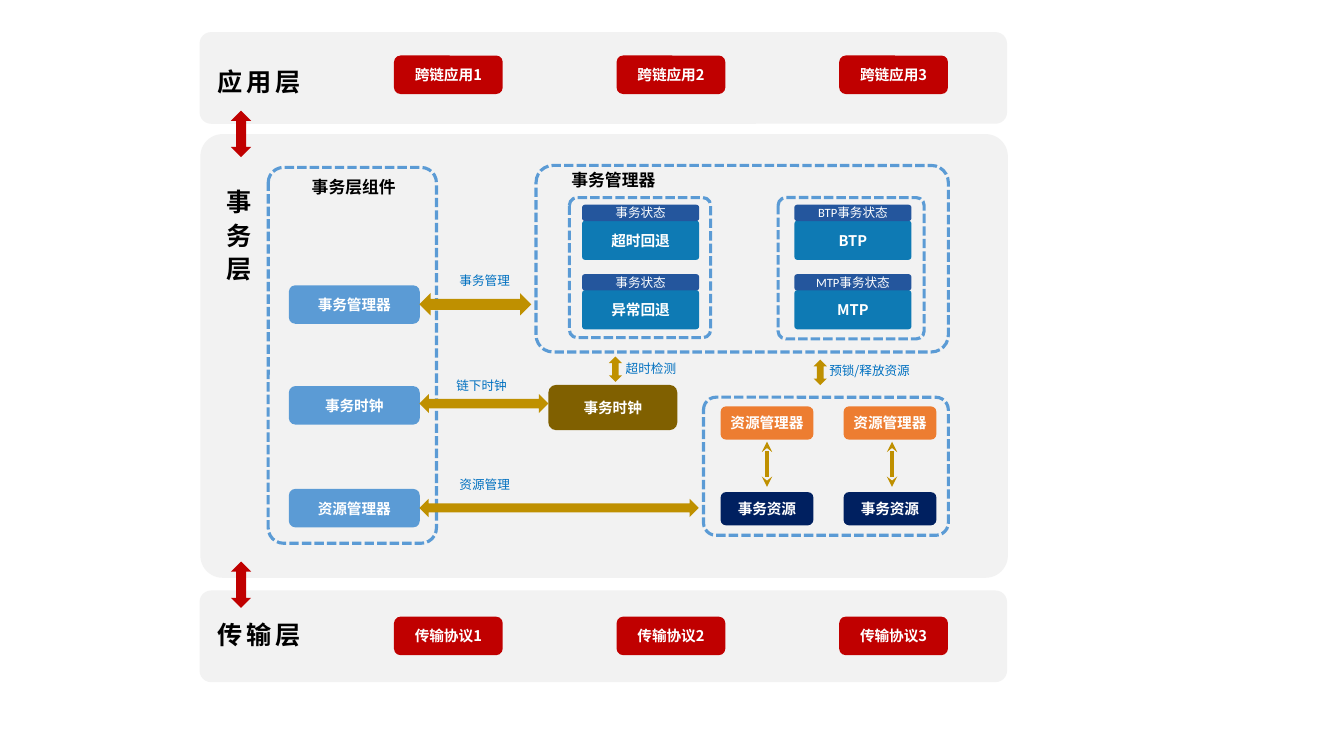
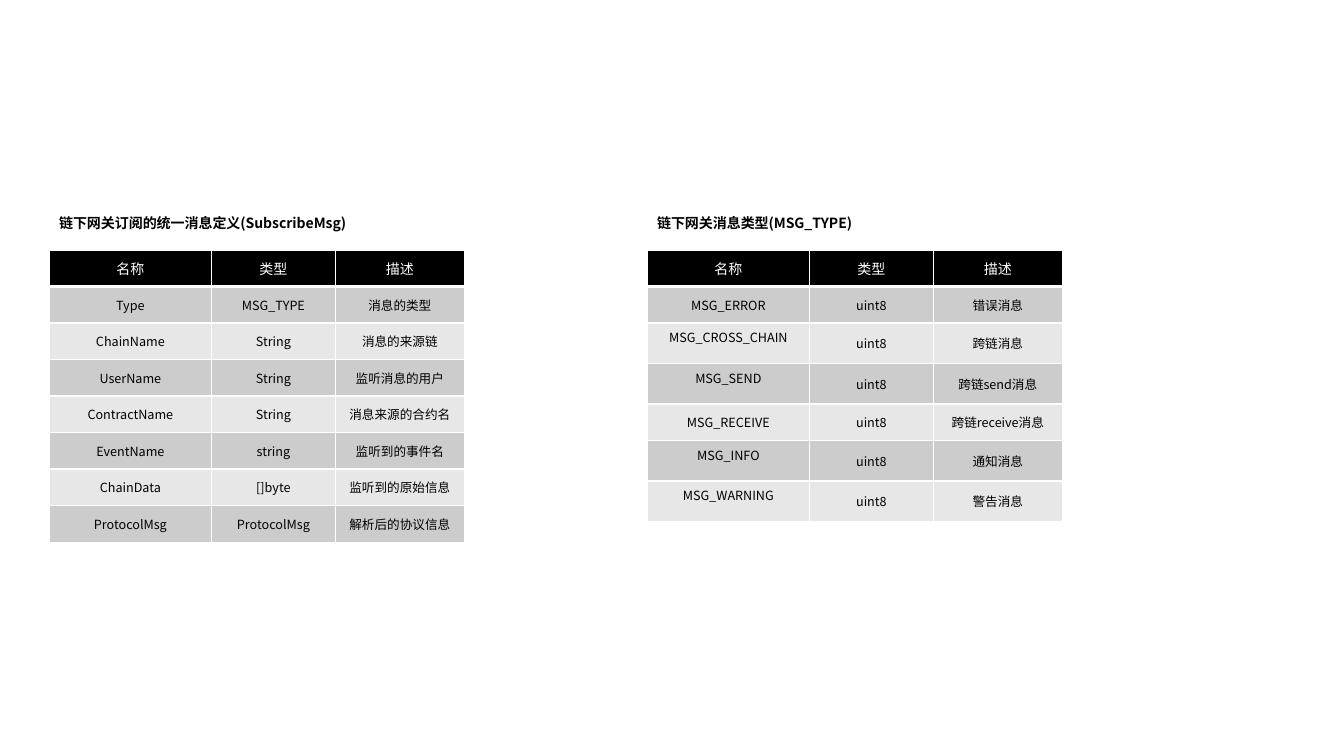
from typing import NamedTuple

from lxml import etree
from pptx import Presentation
from pptx import util as u
from pptx.dml import color
from pptx.enum import dml, shapes, text
from pptx.oxml import ns

CJK, LATIN = "Noto Sans CJK SC", "Calibri"
WHITE, BLACK, PANEL = "FFFFFF", "000000", "F2F2F2"
RED, GOLD, BROWN = "C00000", "BF9000", "806000"
SKY, BLUE, TEAL, INDIGO = "5B9BD5", "0070C0", "0E7AB4", "24569D"
ORANGE, NAVY = "ED7D31", "002060"
STRIPES = ("CCCCCC", "E7E7E7")
CORNER = 0.17
LEFT, CENTER = text.PP_ALIGN.LEFT, text.PP_ALIGN.CENTER


class Box(NamedTuple):
    """Left, top, width and height in centimetres."""
    x: float
    y: float
    w: float
    h: float

    def emu(self) -> list:
        return [u.Cm(v) for v in self]


class Font(NamedTuple):
    size: float
    color: str
    bold: bool = False
    latin: str = CJK
    spacing: int = 0


class Band(NamedTuple):
    top: float
    label_top: float
    label: str
    chip_top: float
    chip: str


class StatusGroup(NamedTuple):
    frame: Box
    x: float
    items: tuple


class Row(NamedTuple):
    name: str
    type: str
    note: str
    raised: bool = False


LAYER = Font(18, BLACK, True, LATIN, 300)
VERTICAL_LAYER = Font(18, BLACK, True, CJK, 600)
HEADING = Font(12, BLACK, True)
BUTTON = Font(10.5, WHITE, True)
TAG = Font(9, WHITE, False, LATIN)
NOTE = Font(9, BLUE)
CAPTION = Font(10, BLACK, True)
HEAD_CELL, BODY_CELL = Font(10, WHITE), Font(9, BLACK)

BANDS = (Band(0.81, 1.55, "应用层", 1.4, "跨链应用"),
         Band(14.88, 15.49, "传输层", 15.54, "传输协议"))
COMPONENTS = (("事务管理器", 7.19), ("事务时钟", 9.73), ("资源管理器", 12.32))
FRAMES = (Box(6.76, 4.22, 4.24, 9.47), Box(13.51, 4.17, 10.39, 4.7),
          Box(17.73, 10.01, 6.17, 3.48))
STATUS_GROUPS = (
    StatusGroup(Box(14.35, 4.98, 3.56, 3.53), 14.67,
                (("事务状态", "超时回退"), ("事务状态", "异常回退"))),
    StatusGroup(Box(19.61, 4.98, 3.68, 3.56), 20.02,
                (("BTP事务状态", "BTP"), ("MTP事务状态", "MTP"))),
)
RESOURCES = ((18.16, 19.33), (21.26, 22.48))
WIDE_ARROWS = (Box(10.57, 7.39, 2.82, 0.56), Box(10.57, 9.93, 3.25, 0.48),
               Box(10.57, 12.57, 7.04, 0.46))
UPRIGHT_ARROWS = ((Box(5.49, 3.12, 1.17, 0.51), RED), (Box(5.49, 14.48, 1.17, 0.51), RED),
                  (Box(20.35, 9.22, 0.64, 0.33), GOLD), (Box(15.19, 9.14, 0.64, 0.33), GOLD))
NOTES = (("事务管理", 11.33, 6.76), ("链下时钟", 11.25, 9.4), ("资源管理", 11.33, 11.89),
         ("超时检测", 15.52, 8.97), ("预锁/释放资源", 20.65, 9.02))

HEADER = Row("名称", "类型", "描述")
COLUMNS = (4.09, 3.12, 3.25)
TABLES = (
    (1.24, "链下网关订阅的统一消息定义(SubscribeMsg)", (
        Row("Type", "MSG_TYPE", "消息的类型"),
        Row("ChainName", "String", "消息的来源链"),
        Row("UserName", "String", "监听消息的用户"),
        Row("ContractName", "String", "消息来源的合约名"),
        Row("EventName", "string", "监听到的事件名"),
        Row("ChainData", "[]byte", "监听到的原始信息"),
        Row("ProtocolMsg", "ProtocolMsg", "解析后的协议信息"))),
    (16.31, "链下网关消息类型(MSG_TYPE)", (
        Row("MSG_ERROR", "uint8", "错误消息"),
        Row("MSG_CROSS_CHAIN", "uint8", "跨链消息", True),
        Row("MSG_SEND", "uint8", "跨链send消息", True),
        Row("MSG_RECEIVE", "uint8", "跨链receive消息"),
        Row("MSG_INFO", "uint8", "通知消息", True),
        Row("MSG_WARNING", "uint8", "警告消息", True))),
)


def rgb(value: str) -> color.RGBColor:
    return color.RGBColor.from_string(value)


def write(tf, words: str, font: Font, align=CENTER) -> None:
    p = tf.paragraphs[0]
    p.alignment = align
    r = p.add_run()
    r.text = words
    r.font.size, r.font.bold, r.font.name = u.Pt(font.size), font.bold, font.latin
    r.font.color.rgb = rgb(font.color)
    props = r.font._element
    etree.SubElement(props, ns.qn("a:ea")).set("typeface", CJK)
    if font.spacing:
        props.set("spc", str(font.spacing))


def add_text(s, box: Box, words: str, font: Font, align=LEFT):
    sp = s.shapes.add_textbox(*box.emu())
    sp.text_frame.word_wrap = True
    write(sp.text_frame, words, font, align)
    return sp


def add_block(s, box: Box, fill: str, words: str = "", font: Font = BUTTON,
              corner: float = CORNER):
    """Rounded rectangle; an empty fill gives a dashed frame."""
    sp = s.shapes.add_shape(shapes.MSO_SHAPE.ROUNDED_RECTANGLE, *box.emu())
    sp.shadow.inherit = False
    sp.adjustments[0] = corner
    if fill:
        sp.fill.solid()
        sp.fill.fore_color.rgb = rgb(fill)
        sp.line.fill.background()
    else:
        sp.fill.background()
        sp.line.color.rgb = rgb(SKY)
        sp.line.width = u.Pt(2.25)
        sp.line.dash_style = dml.MSO_LINE.SQUARE_DOT
    if words:
        tf = sp.text_frame
        tf.margin_left = tf.margin_right = tf.margin_top = tf.margin_bottom = 0
        tf.vertical_anchor = text.MSO_ANCHOR.MIDDLE
        write(tf, words, font)


def add_arrow(s, box: Box, fill: str, rotation: int = 0) -> None:
    sp = s.shapes.add_shape(shapes.MSO_SHAPE.LEFT_RIGHT_ARROW, *box.emu())
    sp.shadow.inherit = False
    sp.fill.solid()
    sp.fill.fore_color.rgb = rgb(fill)
    sp.line.fill.background()
    sp.rotation = rotation


def add_stealth_line(s, x: float, top: float, bottom: float) -> None:
    line = s.shapes.add_connector(shapes.MSO_CONNECTOR.STRAIGHT, u.Cm(x), u.Cm(top),
                                  u.Cm(x), u.Cm(bottom))
    line.line.color.rgb = rgb(GOLD)
    line.line.width = u.Pt(2.5)
    for end in ("a:headEnd", "a:tailEnd"):
        etree.SubElement(line.line._get_or_add_ln(), ns.qn(end)).set("type", "stealth")
    etree.SubElement(line._element.spPr, ns.qn("a:effectLst"))


def add_band(s, band: Band) -> None:
    add_block(s, Box(5.03, band.top, 20.35, 2.31), PANEL, corner=0.126)
    add_text(s, Box(4.55, band.label_top, 3.96, 1.02), band.label, LAYER, CENTER)
    for i in range(3):
        add_block(s, Box(9.93 + 5.61 * i, band.chip_top, 2.74, 0.97), RED,
                  f"{band.chip}{i + 1}")


def add_status_group(s, group: StatusGroup) -> None:
    for i, (tag, name) in enumerate(group.items):
        top = 5.16 + 1.75 * i
        add_block(s, Box(group.x, top + 0.4, 2.95, 0.99), TEAL, name, corner=0.08)
        add_block(s, Box(group.x, top, 2.95, 0.41), INDIGO, tag, TAG)
    add_block(s, group.frame, "", corner=0.055)


def architecture_slide(s) -> None:
    for band in BANDS:
        add_band(s, band)
    add_block(s, Box(5.05, 3.38, 20.35, 11.18), PANEL, corner=0.05)
    layer = add_text(s, Box(5.25, 4.52, 1.27, 6.63), "事务层", VERTICAL_LAYER)
    layer.text_frame._txBody.bodyPr.set("vert", "eaVert")
    for frame in FRAMES:
        add_block(s, frame, "", corner=0.091)
    add_text(s, Box(7.29, 4.34, 3.25, 0.76), "事务层组件", HEADING, CENTER)
    add_text(s, Box(11, 4.14, 8.92, 0.76), "事务管理器", HEADING, CENTER)
    for name, top in COMPONENTS:
        add_block(s, Box(7.28, top, 3.3, 0.97), SKY, name)
    for group in STATUS_GROUPS:
        add_status_group(s, group)
    add_block(s, Box(13.82, 9.7, 3.25, 1.14), BROWN, "事务时钟")
    for x, line_x in RESOURCES:
        add_block(s, Box(x, 10.24, 2.34, 0.84), ORANGE, "资源管理器")
        add_block(s, Box(x, 12.4, 2.34, 0.84), NAVY, "事务资源")
        add_stealth_line(s, line_x, 11.13, 12.27)
    for box in WIDE_ARROWS:
        add_arrow(s, box, GOLD)
    for box, fill in UPRIGHT_ARROWS:
        add_arrow(s, box, fill, 90)
    for words, x, y in NOTES:
        add_text(s, Box(x, y, 3.28, 0.64), words, NOTE)


def set_borders(cell, top: float, bottom: float) -> None:
    """White borders, 1 pt at the sides; they must precede the cell fill."""
    props = cell._tc.get_or_add_tcPr()
    for i, (side, width) in enumerate((("L", 1), ("R", 1), ("T", top), ("B", bottom))):
        ln = etree.Element(ns.qn(f"a:ln{side}"), w=str(u.Pt(width)))
        fill = etree.SubElement(ln, ns.qn("a:solidFill"))
        etree.SubElement(fill, ns.qn("a:srgbClr")).set("val", WHITE)
        props.insert(i, ln)


def add_field_table(s, x: float, caption: str, rows: tuple) -> None:
    add_text(s, Box(x, 5.28, 9.09, 0.69), caption, CAPTION)
    lines = (HEADER, *rows)
    heights = [1.02 if row.raised else 0.92 for row in lines]
    box = Box(x, 6.3, sum(COLUMNS), sum(heights))
    table = s.shapes.add_table(len(lines), len(COLUMNS), *box.emu()).table
    for column, width in zip(table.columns, COLUMNS):
        column.width = u.Cm(width)
    for i, (row, height) in enumerate(zip(lines, heights)):
        table.rows[i].height = u.Cm(height)
        for j, words in enumerate((row.name, row.type, row.note)):
            cell = table.cell(i, j)
            cell.vertical_anchor = text.MSO_ANCHOR.MIDDLE
            if row.raised and j == 0:
                cell.margin_bottom = u.Cm(0.43)
            cell.fill.solid()
            cell.fill.fore_color.rgb = rgb(STRIPES[(i - 1) % 2] if i else BLACK)
            set_borders(cell, 3 if i == 1 else 1, 1 if i else 3)
            write(cell.text_frame, words, BODY_CELL if i else HEAD_CELL)


def main() -> None:
    prs = Presentation()
    prs.slide_width, prs.slide_height = u.Cm(33.87), u.Cm(19.05)
    blank = prs.slide_layouts[6]
    architecture_slide(prs.slides.add_slide(blank))
    s = prs.slides.add_slide(blank)
    for x, caption, rows in TABLES:
        add_field_table(s, x, caption, rows)
    prs.save("out.pptx")


if __name__ == "__main__":
    main()
